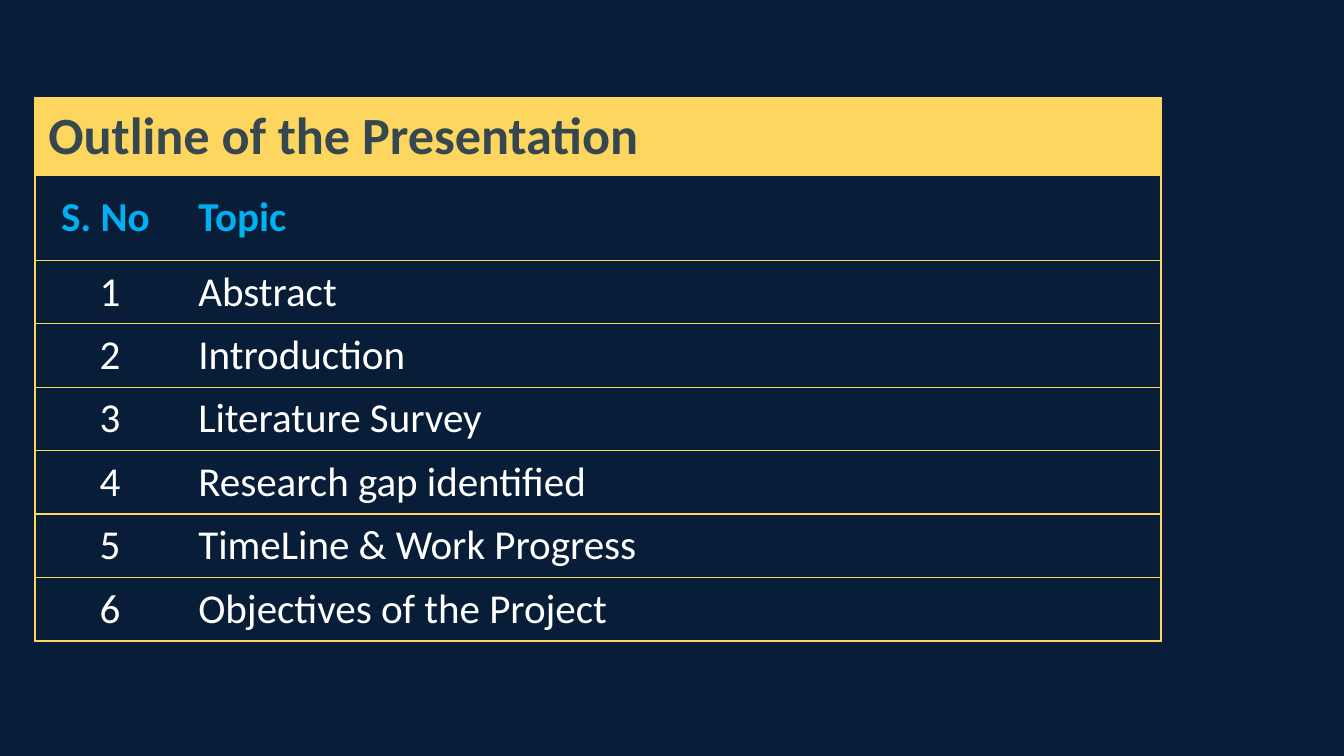
from lxml.etree import SubElement
from pptx import Presentation
from pptx.dml.color import RGBColor
from pptx.enum.text import MSO_ANCHOR, PP_ALIGN
from pptx.oxml.ns import qn
from pptx.util import Emu, Pt

NAVY, GOLD, SLATE, SKY, WHITE = "081D37", "FDD660", "37474F", "00B0F0", "FFFFFF"
TOPICS = [
    "Abstract",
    "Introduction",
    "Literature Survey",
    "Research gap identified",
    "TimeLine & Work Progress",
    "Objectives of the Project",
]


def px(length):
    """Turn whole pixels into EMU at 134.4 pixels to the inch."""
    return Emu(round(length * 914400 / 134.4))


def paint(fill, color):
    """Give a fill one solid colour."""
    fill.solid()
    fill.fore_color.rgb = RGBColor.from_string(color)


def set_borders(cell, sides):
    """Draw gold lines on the named sides and none on the others."""
    properties = cell._tc.get_or_add_tcPr()
    for position, side in enumerate("LRTB"):
        line = SubElement(properties, qn(f"a:ln{side}"), w=str(Pt(0.75)))
        properties.insert(position, line)
        if side in sides:
            solid = SubElement(line, qn("a:solidFill"))
            SubElement(solid, qn("a:srgbClr"), val=GOLD)
        else:
            SubElement(line, qn("a:noFill"))


def fill_cell(cell, words, size, color, bold=False, background=NAVY,
              align=PP_ALIGN.LEFT, anchor=MSO_ANCHOR.MIDDLE, sides="LRTB"):
    """Write one formatted run into a cell and set its fill and borders."""
    paint(cell.fill, background)
    set_borders(cell, sides)
    cell.vertical_anchor = anchor
    paragraph = cell.text_frame.paragraphs[0]
    paragraph.alignment = align
    run = paragraph.add_run()
    run.text = words
    run.font.name = "Calibri"
    run.font.size = Pt(size)
    run.font.bold = bold
    paint(run.font.fill, color)


def add_outline(slide, left, top, width, height):
    """Place the outline table: heading, column names and numbered topics."""
    heading_height, names_height, number_width = 77, 85, 150
    topic_height = (height - heading_height - names_height) // len(TOPICS)
    heights = [heading_height, names_height] + [topic_height] * len(TOPICS)
    outline = slide.shapes.add_table(
        len(heights), 2, px(left), px(top), px(width), px(height)).table
    outline.columns[0].width = px(number_width)
    outline.columns[1].width = px(width - number_width)
    for row, row_height in zip(outline.rows, heights):
        row.height = px(row_height)

    heading = outline.cell(0, 0)
    heading.merge(outline.cell(0, 1))
    fill_cell(heading, "Outline of the Presentation", 28, SLATE, True, GOLD,
              anchor=MSO_ANCHOR.TOP)

    entries = [("S. No ", "Topic")]
    entries += [(str(number), topic) for number, topic in enumerate(TOPICS, 1)]
    for index, (number, topic) in enumerate(entries, 1):
        is_names = index == 1
        color = SKY if is_names else WHITE
        fill_cell(outline.cell(index, 0), number, 22, color, is_names,
                  align=PP_ALIGN.CENTER, sides="LTB")
        fill_cell(outline.cell(index, 1), topic, 22, color, is_names,
                  anchor=MSO_ANCHOR.MIDDLE if is_names else MSO_ANCHOR.TOP,
                  sides="RTB")


def main():
    """Build the slide and save it."""
    deck = Presentation()
    deck.slide_width, deck.slide_height = px(1344), px(756)
    slide = deck.slides.add_slide(deck.slide_layouts[6])
    paint(slide.background.fill, NAVY)
    add_outline(slide, 35, 98, 1126, 542)
    deck.save("out.pptx")


if __name__ == "__main__":
    main()
